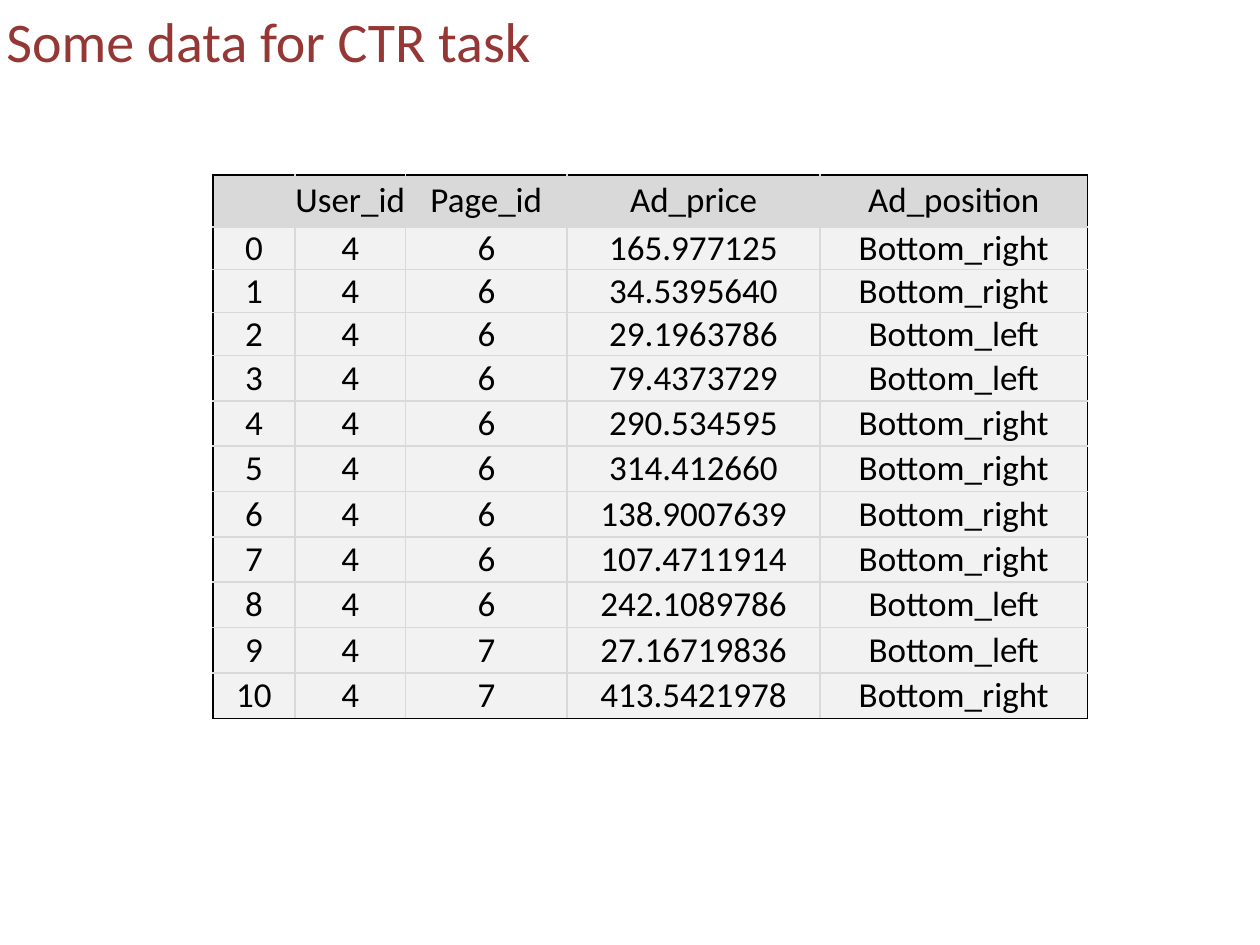
from lxml.etree import SubElement
from pptx import Presentation
from pptx.dml.color import RGBColor
from pptx.enum.text import MSO_ANCHOR as Anchor, PP_ALIGN as Align
from pptx.oxml.ns import qn
from pptx.util import Inches, Pt

COLORS = {"title": "953735", "text": "000000", "outline": "000000",
          "grid": "D9D9D9", "header": "D9D9D9", "body": "F2F2F2"}
COLUMN_WIDTHS = [0.65, 0.88, 1.28, 2.01, 2.12]
ROW_HEIGHTS = [0.41] + [0.34] * 3 + [0.36] * 8
HEADINGS = ["", "User_id", "Page_id", "Ad_price", "Ad_position"]
ADS = [
    ("6", "165.977125", "right"),
    ("6", "34.5395640", "right"),
    ("6", "29.1963786", "left"),
    ("6", "79.4373729", "left"),
    ("6", "290.534595", "right"),
    ("6", "314.412660", "right"),
    ("6", "138.9007639", "right"),
    ("6", "107.4711914", "right"),
    ("6", "242.1089786", "left"),
    ("7", "27.16719836", "left"),
    ("7", "413.5421978", "right"),
]


def style_text(paragraph, size, color, align):
    """Set the font and alignment of a paragraph."""
    paragraph.alignment = align
    paragraph.font.name = "Calibri"
    paragraph.font.size = Pt(size)
    paragraph.font.color.rgb = RGBColor.from_string(COLORS[color])


def add_borders(cell, outer_sides):
    """Draw the four cell borders, dark on the outer sides of the table."""
    properties = cell._tc.get_or_add_tcPr()
    for position, side in enumerate("LRTB"):
        color = "outline" if side in outer_sides else "grid"
        line = SubElement(properties, qn(f"a:ln{side}"), w=str(Pt(1)))
        fill = SubElement(line, qn("a:solidFill"))
        SubElement(fill, qn("a:srgbClr"), val=COLORS[color])
        properties.insert(position, line)


prs = Presentation()
prs.slide_width, prs.slide_height = Inches(10), Inches(7.5)
slide = prs.slides.add_slide(prs.slide_layouts[5])

title = slide.shapes.title
title.left, title.top = 0, 0
title.width, title.height = Inches(9.37), Inches(0.64)
title_frame = title.text_frame
title_frame.text = "Some data for CTR task"
title_frame.vertical_anchor = Anchor.MIDDLE
title_frame.margin_left = title_frame.margin_right = Inches(0.05)
title_frame.margin_top = title_frame.margin_bottom = Inches(0.05)
style_text(title_frame.paragraphs[0], 32, "title", Align.LEFT)

records = [HEADINGS] + [
    [str(index), "4", page, price, f"Bottom_{side}"]
    for index, (page, price, side) in enumerate(ADS)
]
last_row, last_column = len(records) - 1, len(HEADINGS) - 1
ad_table = slide.shapes.add_table(
    len(records), len(HEADINGS), Inches(1.69), Inches(1.39),
    Inches(sum(COLUMN_WIDTHS)), Inches(sum(ROW_HEIGHTS))).table
ad_table.horz_banding = False
for column, width in zip(ad_table.columns, COLUMN_WIDTHS):
    column.width = Inches(width)
for row, height in zip(ad_table.rows, ROW_HEIGHTS):
    row.height = Inches(height)

for r, record in enumerate(records):
    for c, value in enumerate(record):
        cell = ad_table.cell(r, c)
        cell.text = value
        cell.vertical_anchor = Anchor.MIDDLE
        cell.margin_left = cell.margin_right = 0
        cell.margin_top = cell.margin_bottom = 0
        cell.fill.solid()
        cell.fill.fore_color.rgb = RGBColor.from_string(
            COLORS["body" if r else "header"])
        paragraph = cell.text_frame.paragraphs[0]
        style_text(paragraph, 20, "text", Align.CENTER)
        paragraph.font.bold = False
        edges = {"L": c == 0, "R": c == last_column,
                 "T": r == 0, "B": r == last_row}
        add_borders(cell, [side for side, outer in edges.items() if outer])

prs.save("out.pptx")
